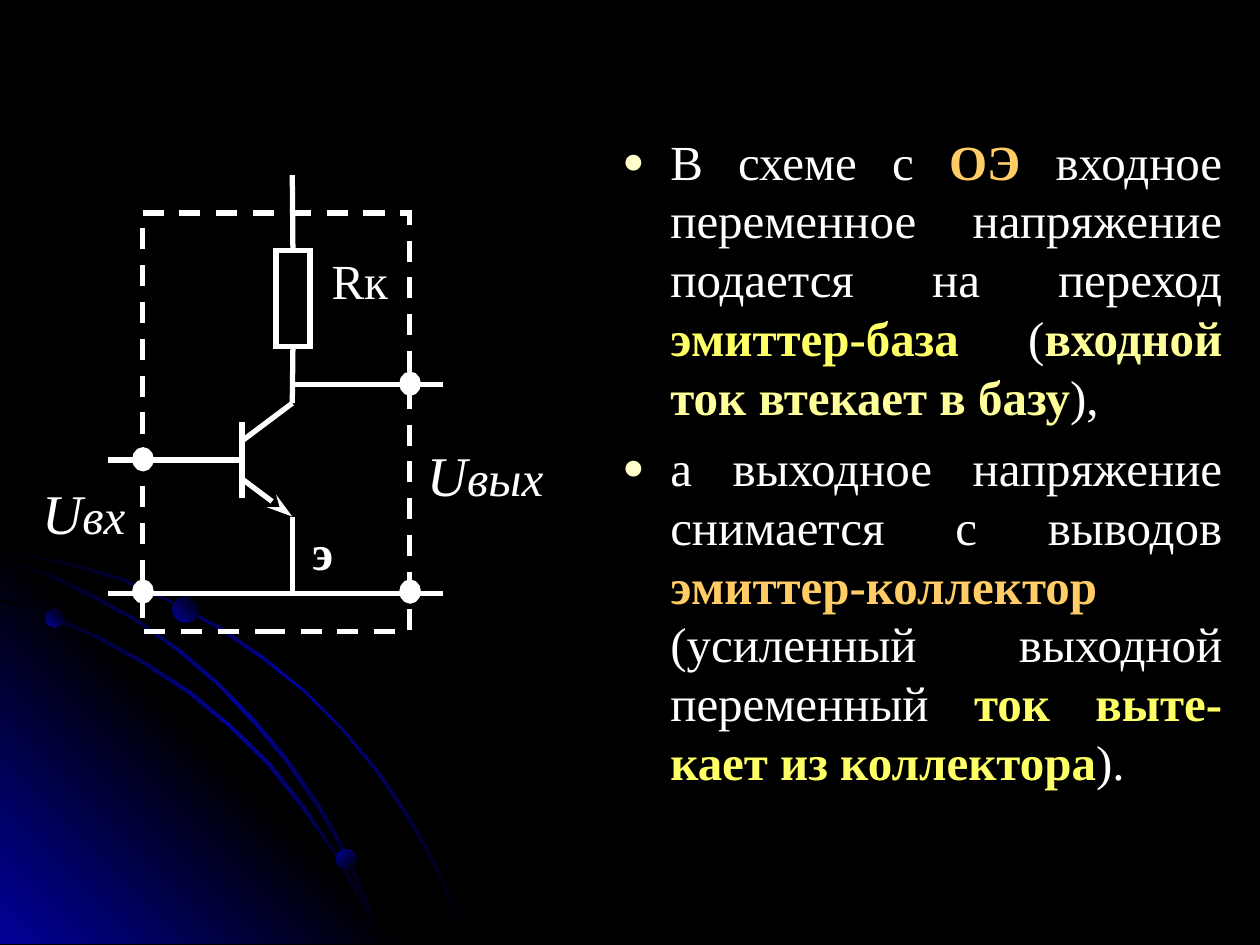
import lxml.etree
import pptx
import pptx.dml.color
import pptx.enum.dml
import pptx.enum.shapes
import pptx.enum.text
import pptx.oxml
import pptx.oxml.ns
import pptx.util

Inches = pptx.util.Inches
Pt = pptx.util.Pt
qn = pptx.oxml.ns.qn
SHAPES = pptx.enum.shapes.MSO_SHAPE
ALIGN = pptx.enum.text.PP_ALIGN
WHITE, ORANGE, YELLOW, PALE_YELLOW = "FFFFFF", "FFCC66", "FFFF66", "FFFF99"
BLACK, BLUE, BULLET = "000000", "010199", "FFFFCC"
FONT = {"name": "Times New Roman", "size": Pt(28)}

WEDGE = [(0, 4.27), (3.22, 7.49), (0, 7.49)]
ARCS = [
    [(0, 4.35), (0.28, 4.41), (0.57, 4.47), (0.98, 4.59), (1.36, 4.77), (1.74, 4.97),
     (2.09, 5.21), (2.42, 5.48), (2.72, 5.78), (3, 6.11), (3.25, 6.48), (3.39, 6.73),
     (3.52, 6.98), (3.62, 7.23), (3.72, 7.49), (3.7, 7.49), (3.6, 7.23), (3.5, 6.98),
     (3.37, 6.73), (3.23, 6.49), (2.98, 6.12), (2.71, 5.79), (2.41, 5.49), (2.08, 5.23),
     (1.73, 4.99), (1.35, 4.78), (0.97, 4.61), (0.56, 4.49), (0.28, 4.43), (0, 4.38)],
    [(0, 4.75), (0.41, 4.88), (0.79, 5.05), (1.17, 5.26), (1.52, 5.49), (1.84, 5.76),
     (2.15, 6.06), (2.42, 6.4), (2.66, 6.76), (2.86, 7.12), (2.96, 7.3), (3.03, 7.49),
     (3.01, 7.49), (2.94, 7.32), (2.85, 7.14), (2.65, 6.77), (2.4, 6.42), (2.13, 6.08),
     (1.83, 5.78), (1.5, 5.51), (1.15, 5.28), (0.77, 5.07), (0.39, 4.9), (0, 4.77)],
    [(0, 4.42), (0.39, 4.55), (0.76, 4.73), (1.11, 4.93), (1.44, 5.16), (1.75, 5.43),
     (2.04, 5.73), (2.29, 6.03), (2.54, 6.39), (2.69, 6.65), (2.82, 6.93), (2.94, 7.2),
     (3.03, 7.49), (3.01, 7.49), (2.92, 7.22), (2.8, 6.94), (2.67, 6.67), (2.52, 6.41),
     (2.27, 6.05), (2.02, 5.75), (1.73, 5.44), (1.42, 5.18), (1.09, 4.94), (0.74, 4.75),
     (0.36, 4.57), (0, 4.44)],
]
BEADS = [(0.36, 4.83, 0.15, 135), (2.67, 6.74, 0.16, 225), (1.37, 4.73, 0.21, 135)]

PARAGRAPHS = [
    [("В схеме с ", WHITE), ("ОЭ", ORANGE),
     (" входное переменное напряжение подается на переход ", WHITE),
     ("эмиттер-база", YELLOW), (" (", WHITE),
     ("входной ток втекает в базу", PALE_YELLOW), ("), ", WHITE)],
    [("а выходное напряжение снимается с выводов ", WHITE),
     ("эмиттер-коллектор ", ORANGE), ("(усиленный выходной переменный ", WHITE),
     ("ток выте-кает из коллектора", YELLOW), (").", WHITE)],
]

FRAME_LEFT, FRAME_RIGHT = 1.13, 3.25
BASE_X, COLLECTOR_X = 1.92, 2.32
INPUT_Y, OUTPUT_Y, COMMON_Y = 3.65, 3.05, 4.71
WIRE_LEFT, WIRE_RIGHT = 0.86, 3.52


def color(value):
    return pptx.dml.color.RGBColor.from_string(value)


def add_run(paragraph, text, run_color=WHITE, **formats):
    run = paragraph.add_run()
    run.text = text
    for name, value in {**FONT, **formats}.items():
        setattr(run.font, name, value)
    run.font.color.rgb = color(run_color)


def set_gradient(shape, colors, angle):
    """Spread the colours evenly along a clockwise angle; drop the outline."""
    properties = shape._element.spPr
    gradient = pptx.oxml.parse_xml(f'<a:gradFill {pptx.oxml.ns.nsdecls("a")}/>')
    stops = lxml.etree.SubElement(gradient, qn("a:gsLst"))
    for index, value in enumerate(colors):
        position = 100000 * index // (len(colors) - 1)
        stop = lxml.etree.SubElement(stops, qn("a:gs"), pos=str(position))
        lxml.etree.SubElement(stop, qn("a:srgbClr"), val=value)
    lxml.etree.SubElement(gradient, qn("a:lin"), ang=str(angle * 60000), scaled="0")
    geometry = properties.find(qn("a:custGeom"))
    if geometry is None:
        geometry = properties.find(qn("a:prstGeom"))
    geometry.addnext(gradient)
    shape.line.fill.background()
    shape.shadow.inherit = False


def add_outline(slide, points, colors, angle):
    points = [(Inches(x), Inches(y)) for x, y in points]
    builder = slide.shapes.build_freeform(*points[0])
    builder.add_line_segments(points[1:], close=True)
    set_gradient(builder.convert_to_shape(), colors, angle)


def add_shape(slide, kind, left, top, width, height):
    return slide.shapes.add_shape(
        kind, Inches(left), Inches(top), Inches(width), Inches(height))


def add_circuit_part(slide, kind, left, top, width, height, filled=False):
    shape = add_shape(slide, kind, left, top, width, height)
    shape.shadow.inherit = False
    if filled:
        shape.fill.solid()
        shape.fill.fore_color.rgb = color(WHITE)
    else:
        shape.fill.background()
    shape.line.color.rgb = color(WHITE)
    shape.line.width = Pt(3)
    lxml.etree.SubElement(shape.line._get_or_add_ln(), qn("a:miter"), lim="800000")
    return shape


def add_wire(slide, start, end):
    wire = slide.shapes.add_connector(
        pptx.enum.shapes.MSO_CONNECTOR.STRAIGHT, *map(Inches, start + end))
    wire.line.color.rgb = color(WHITE)
    wire.line.width = Pt(3)
    lxml.etree.SubElement(wire._element.spPr, qn("a:effectLst"))
    return wire


def add_label(slide, left, top, width, height, runs):
    box = slide.shapes.add_textbox(
        Inches(left), Inches(top), Inches(width), Inches(height))
    frame = box.text_frame
    formats = {"word_wrap": True, "margin_left": 0, "margin_right": 0,
               "margin_top": 0, "margin_bottom": 0}
    for name, value in formats.items():
        setattr(frame, name, value)
    paragraph = frame.paragraphs[0]
    paragraph.alignment = ALIGN.CENTER
    for text, run_formats in runs:
        add_run(paragraph, text, **run_formats)


def add_bullet(paragraph):
    properties = paragraph._p.get_or_add_pPr()
    properties.set("marL", str(Inches(0.38)))
    properties.set("indent", str(-Inches(0.38)))
    bullet_color = lxml.etree.SubElement(properties, qn("a:buClr"))
    lxml.etree.SubElement(bullet_color, qn("a:srgbClr"), val=BULLET)
    lxml.etree.SubElement(properties, qn("a:buSzPct"), val="75000")
    lxml.etree.SubElement(properties, qn("a:buChar"), char="●")


def fill_body(body):
    geometry = {"left": 4.84, "top": 0.99, "width": 4.96, "height": 5.71}
    for name, value in geometry.items():
        setattr(body, name, Inches(value))
    frame = body.text_frame
    frame.auto_size = pptx.enum.text.MSO_AUTO_SIZE.NONE
    for index, runs in enumerate(PARAGRAPHS):
        paragraph = frame.add_paragraph() if index else frame.paragraphs[0]
        add_bullet(paragraph)
        formats = {"alignment": ALIGN.JUSTIFY, "space_before": Pt(7 if index else 0)}
        for name, value in formats.items():
            setattr(paragraph, name, value)
        for text, run_color in runs:
            add_run(paragraph, text, run_color, bold=run_color != WHITE)


def add_decoration(slide):
    add_outline(slide, WEDGE, [BLUE, BLACK, BLUE], 135)
    for points in ARCS:
        add_outline(slide, points, [BLACK, BLUE, BLACK], 225)
    for left, top, size, angle in BEADS:
        bead = add_shape(slide, SHAPES.OVAL, left, top, size, size)
        set_gradient(bead, [BLACK, BLUE], angle)


def add_circuit(slide):
    resistor = add_circuit_part(slide, SHAPES.RECTANGLE, 2.19, 1.99, 0.27, 0.76)
    supply = add_wire(slide, (COLLECTOR_X, 1.39), (COLLECTOR_X, 1.99))
    supply.end_connect(resistor, 0)
    collector = add_wire(slide, (COLLECTOR_X, 3.2), (COLLECTOR_X, 2.75))
    collector.end_connect(resistor, 2)
    for start, end in [
        ((COLLECTOR_X, 4.1), (COLLECTOR_X, COMMON_Y)),
        ((WIRE_LEFT, INPUT_Y), (BASE_X, INPUT_Y)),
        ((BASE_X, 3.35), (BASE_X, 3.95)),
        ((BASE_X, 3.5), (COLLECTOR_X, 3.2)),
        ((COLLECTOR_X, OUTPUT_Y), (WIRE_RIGHT, OUTPUT_Y)),
        ((WIRE_LEFT, COMMON_Y), (WIRE_RIGHT, COMMON_Y)),
    ]:
        add_wire(slide, start, end)
    emitter = add_wire(slide, (BASE_X, 3.8), (COLLECTOR_X, 4.1))
    lxml.etree.SubElement(emitter.line._get_or_add_ln(), qn("a:tailEnd"),
                          type="stealth", w="med", len="lg")

    frame = add_circuit_part(
        slide, SHAPES.RECTANGLE, FRAME_LEFT, 1.69, FRAME_RIGHT - FRAME_LEFT, 3.32)
    frame.line.dash_style = pptx.enum.dml.MSO_LINE.DASH
    for x, y in [(FRAME_LEFT, INPUT_Y), (FRAME_LEFT, COMMON_Y - 0.01),
                 (FRAME_RIGHT, OUTPUT_Y), (FRAME_RIGHT, COMMON_Y - 0.01)]:
        add_circuit_part(slide, SHAPES.OVAL, x - 0.06, y - 0.08, 0.13, 0.15, filled=True)

    voltage = ("U", {"size": Pt(32), "italic": True})
    add_label(slide, 2.59, 1.99, 0.53, 0.6, [("Rк", {})])
    add_label(slide, 0.2, 3.8, 0.93, 0.6, [voltage, ("вх", {"italic": True})])
    add_label(slide, 3.25, 3.5, 1.2, 0.6, [voltage, ("вых", {"italic": True})])
    add_label(slide, 2.4, 4.14, 0.32, 0.55, [("э", {"bold": True})])


def main():
    presentation = pptx.Presentation()
    presentation.slide_width = Inches(10)
    presentation.slide_height = Inches(7.5)
    slide = presentation.slides.add_slide(presentation.slide_layouts[1])
    slide.background.fill.solid()
    slide.background.fill.fore_color.rgb = color(BLACK)
    title = slide.shapes.title._element
    title.getparent().remove(title)
    add_decoration(slide)
    fill_body(slide.placeholders[1])
    add_circuit(slide)
    presentation.save("out.pptx")


if __name__ == "__main__":
    main()
